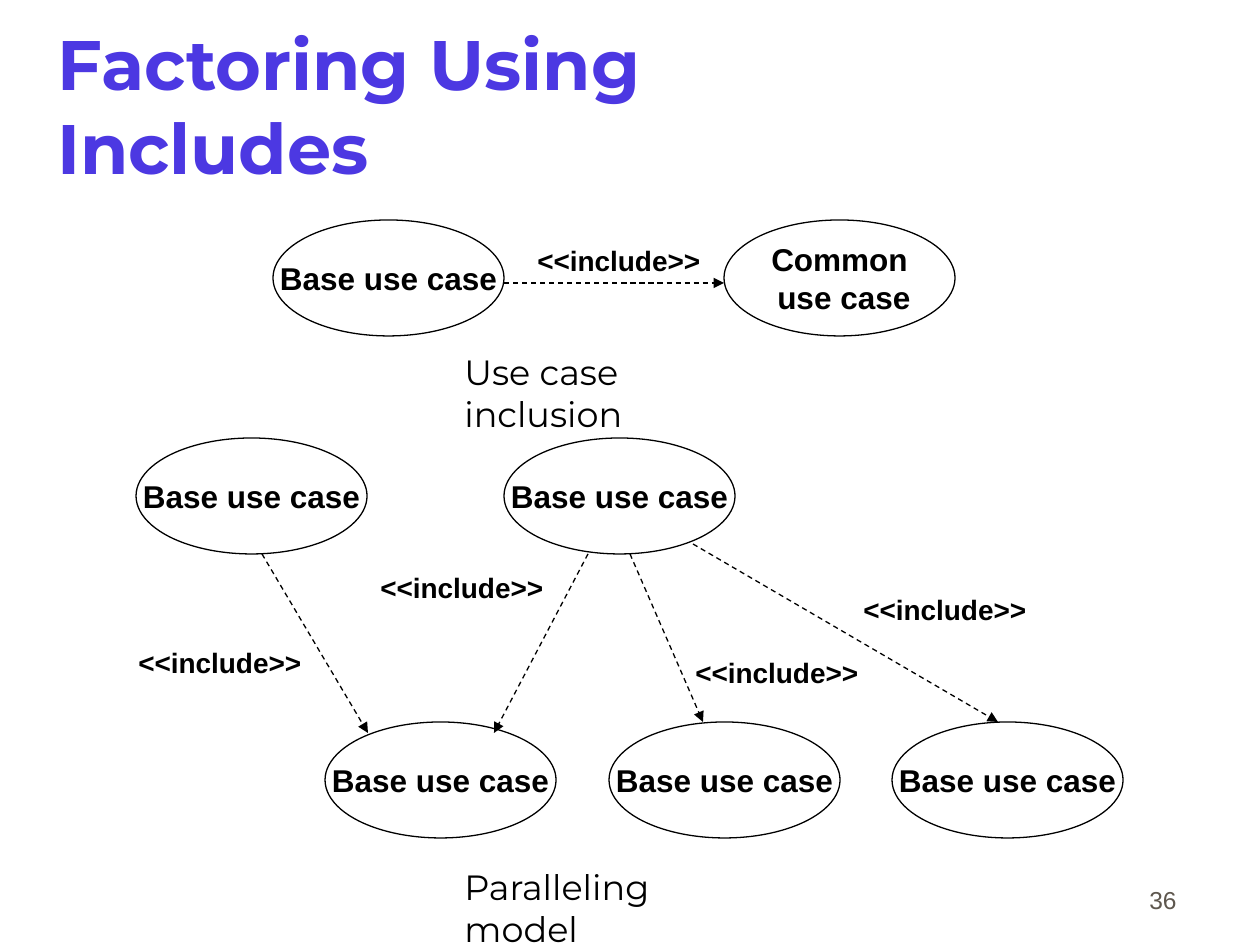
"""Build the slide on factoring use cases with include relations."""
import pptx
import pptx.dml.color
import pptx.enum.dml
import pptx.enum.shapes
import pptx.enum.text
import pptx.oxml
import pptx.oxml.ns
import pptx.util

EMU_PER_PX = 914400 / 126
ALIGN = pptx.enum.text.PP_ALIGN
ANCHOR = pptx.enum.text.MSO_ANCHOR
BLACK = "000000"
ELLIPSE_SIZE = (231, 116)
LABEL_SIZE = (188, 47)

TITLE = {"name": "Montserrat", "size": 40, "bold": True, "color": "4C38E2"}
CAPTION = {"name": "Montserrat", "size": 20, "bold": False, "color": BLACK}
USE_CASE = {"name": "Arial", "size": 18, "bold": True, "color": BLACK}
LABEL = {"name": "Arial", "size": 16, "bold": True, "color": BLACK}
PAGE_NUMBER = {"name": "Arial", "size": 14, "bold": False, "color": "5E574E"}

BASE_CASES = [(273, 220), (136, 438), (504, 438), (325, 722), (609, 722), (892, 722)]
INCLUDE_LABELS = [(525, 237), (126, 639), (368, 564), (683, 649), (851, 586)]
INCLUDE_ARROWS = [
    (504, 283, 724, 283),
    (262, 554, 368, 733),
    (588, 554, 494, 733),
    (630, 554, 703, 722),
    (693, 544, 998, 722),
]


def px(*lengths):
    """Convert pixel lengths to EMU."""
    return [pptx.util.Emu(round(length * EMU_PER_PX)) for length in lengths]


def rgb(color):
    """Return the colour for a hex string."""
    return pptx.dml.color.RGBColor.from_string(color)


def write_text(shape, text, font_format, align=ALIGN.LEFT, **frame_format):
    """Fill a shape with paragraphs in one format."""
    frame = shape.text_frame
    frame.text = text
    for name, value in frame_format.items():
        setattr(frame, name, value)
    values = {
        "name": font_format["name"],
        "size": pptx.util.Pt(font_format["size"]),
        "bold": font_format["bold"],
    }
    for paragraph in frame.paragraphs:
        paragraph.alignment = align
        for name, value in values.items():
            setattr(paragraph.font, name, value)
        paragraph.font.color.rgb = rgb(font_format["color"])


def add_text(slide, box, text, font_format, align=ALIGN.LEFT, **frame_format):
    """Add a text box."""
    shape = slide.shapes.add_textbox(*px(*box))
    write_text(shape, text, font_format, align, **frame_format)


def add_use_case(slide, position, text):
    """Add a use case ellipse."""
    shape = slide.shapes.add_shape(
        pptx.enum.shapes.MSO_SHAPE.OVAL, *px(*position, *ELLIPSE_SIZE)
    )
    shape.shadow.inherit = False
    shape.fill.background()
    shape.line.color.rgb = rgb(BLACK)
    shape.line.width = pptx.util.Pt(0.75)
    write_text(shape, text, USE_CASE, ALIGN.CENTER,
               word_wrap=False, vertical_anchor=ANCHOR.MIDDLE)


def add_include_arrow(slide, ends):
    """Add a dashed arrow."""
    connector = slide.shapes.add_connector(
        pptx.enum.shapes.MSO_CONNECTOR.STRAIGHT, *px(*ends)
    )
    line = connector.line
    line.color.rgb = rgb(BLACK)
    line.width = pptx.util.Pt(0.75)
    line.dash_style = pptx.enum.dml.MSO_LINE.DASH
    namespace = pptx.oxml.ns.nsdecls("a")
    line._get_or_add_ln().append(
        pptx.oxml.parse_xml(f'<a:tailEnd {namespace} type="triangle"/>')
    )
    connector._element.spPr.append(pptx.oxml.parse_xml(f"<a:effectLst {namespace}/>"))


def main():
    """Build and save the slide."""
    presentation = pptx.Presentation()
    presentation.slide_width, presentation.slide_height = px(1260, 945)
    slide = presentation.slides.add_slide(presentation.slide_layouts[6])

    side_inset = pptx.util.Inches(0.02)
    add_text(slide, (55, 25, 1071, 158), "Factoring Using \vIncludes", TITLE,
             word_wrap=True, vertical_anchor=ANCHOR.MIDDLE,
             margin_left=side_inset, margin_right=side_inset)
    add_text(slide, (927, 858, 262, 63), "36", PAGE_NUMBER, ALIGN.RIGHT,
             word_wrap=True, vertical_anchor=ANCHOR.BOTTOM)

    for position in BASE_CASES:
        add_use_case(slide, position, "Base use case")
    add_use_case(slide, (724, 220), "Common\n use case")
    for ends in INCLUDE_ARROWS:
        add_include_arrow(slide, ends)
    for position in INCLUDE_LABELS:
        add_text(slide, (*position, *LABEL_SIZE), "<<include>>", LABEL, word_wrap=False)

    add_text(slide, (452, 344, 325, 55), "Use case inclusion", CAPTION, word_wrap=True)
    add_text(slide, (452, 859, 312, 55), "Paralleling model", CAPTION, word_wrap=True)
    presentation.save("out.pptx")


if __name__ == "__main__":
    main()
